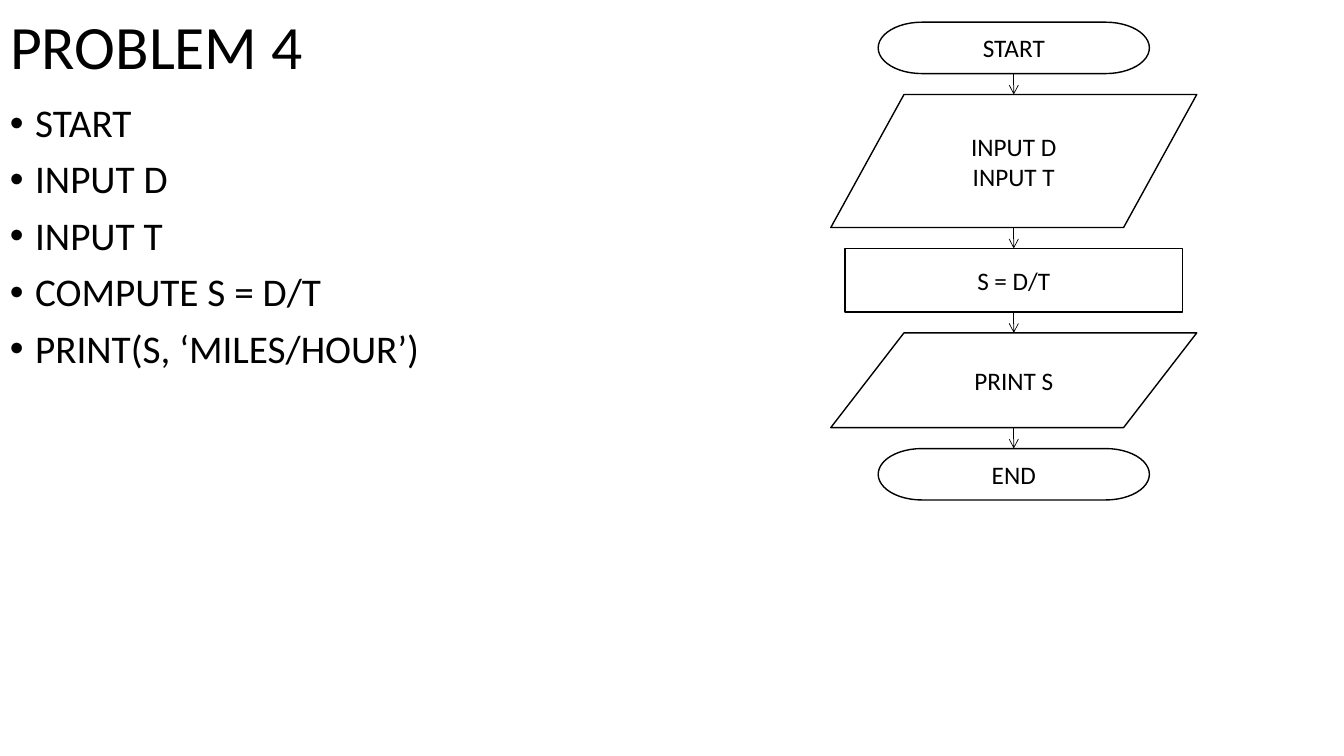
from pptx import Presentation
from pptx.dml.color import RGBColor
from pptx.enum.shapes import MSO_CONNECTOR as Link, MSO_SHAPE as Shape
from pptx.enum.text import MSO_ANCHOR as Anchor, PP_ALIGN as Align
from pptx.oxml.ns import qn
from pptx.util import Inches, Pt
from lxml.etree import SubElement as Sub

INK, PAPER = "000000", "FFFFFF"
HEAD = dict(alignment=Align.LEFT, line_spacing=0.9)
ITEM = dict(HEAD, space_before=Pt(10))
NODE = dict(alignment=Align.CENTER)

STEPS = ["START", "INPUT D", "INPUT T", "COMPUTE S = D/T",
         "PRINT(S, ‘MILES/HOUR’)"]
# Flowchart nodes: preset, width, height, lines of text
NODES = [
    (Shape.FLOWCHART_TERMINATOR, 2.69, 0.51, ["START"]),
    (Shape.FLOWCHART_DATA, 3.63, 1.32, ["INPUT D", "INPUT T"]),
    (Shape.RECTANGLE, 3.35, 0.63, ["S = D/T"]),
    (Shape.FLOWCHART_DATA, 3.63, 0.94, ["PRINT S"]),
    (Shape.FLOWCHART_TERMINATOR, 2.69, 0.51, ["END"]),
]


def color(code):
    return RGBColor.from_string(code)


def inches(*sizes):
    return [Inches(size) for size in sizes]


def write(frame, lines, size, form, anchor):
    """Fill a text frame with one paragraph per line."""
    frame.word_wrap = True
    frame.vertical_anchor = anchor
    for i, line in enumerate(lines):
        para = frame.add_paragraph() if i else frame.paragraphs[0]
        for key, value in form.items():
            setattr(para, key, value)
        run = para.add_run()
        run.text = line
        run.font.name, run.font.size = "Calibri", Pt(size)
        run.font.color.rgb = color(INK)


def title(slide, box, text):
    head = slide.shapes.title
    head.left, head.top, head.width, head.height = inches(*box)
    write(head.text_frame, [text], 44, HEAD, Anchor.MIDDLE)


def steps(slide, box, lines):
    """Bulleted list of the steps."""
    frame = slide.shapes.add_textbox(*inches(*box)).text_frame
    write(frame, lines, 28, ITEM, Anchor.TOP)
    for para in frame.paragraphs:
        props = para._p.get_or_add_pPr()
        props.set("marL", str(Inches(0.25)))
        props.set("indent", str(Inches(-0.25)))
        Sub(props, qn("a:buFont"), typeface="Arial")
        Sub(props, qn("a:buChar"), char="•")


def node(slide, kind, box, lines):
    shape = slide.shapes.add_shape(kind, *inches(*box))
    shape.shadow.inherit = False
    shape.fill.solid()
    shape.fill.fore_color.rgb = color(PAPER)
    shape.line.color.rgb = color(INK)
    shape.line.width = Pt(1)
    write(shape.text_frame, lines, 18, NODE, Anchor.MIDDLE)


def arrow(slide, x, top, end):
    link = slide.shapes.add_connector(Link.STRAIGHT, *inches(x, top, x, end))
    link.line.color.rgb = color(INK)
    link.line.width = Pt(0.5)
    Sub(link.line._get_or_add_ln(), qn("a:tailEnd"), type="arrow")
    Sub(link._element.spPr, qn("a:effectLst"))


def chart(slide, box, nodes):
    """Stack the nodes on the centre line and share the spare height as gaps."""
    left, top, width, height = box
    mid = left + width / 2
    gap = (height - sum(tall for _, _, tall, _ in nodes)) / (len(nodes) - 1)
    for i, (kind, wide, tall, lines) in enumerate(nodes):
        if i:
            arrow(slide, mid, top, top + gap)
            top += gap
        node(slide, kind, (mid - wide / 2, top, wide, tall), lines)
        top += tall


deck = Presentation()
deck.slide_width, deck.slide_height = inches(13.33, 7.5)
page = deck.slides.add_slide(deck.slide_layouts.get_by_name("Title Only"))
title(page, (0, 0, 3.81, 0.98), "PROBLEM 4")
steps(page, (0, 0.98, 6.45, 6.52), STEPS)
chart(page, (8.24, 0.22, 3.63, 4.74), NODES)
deck.save("out.pptx")
